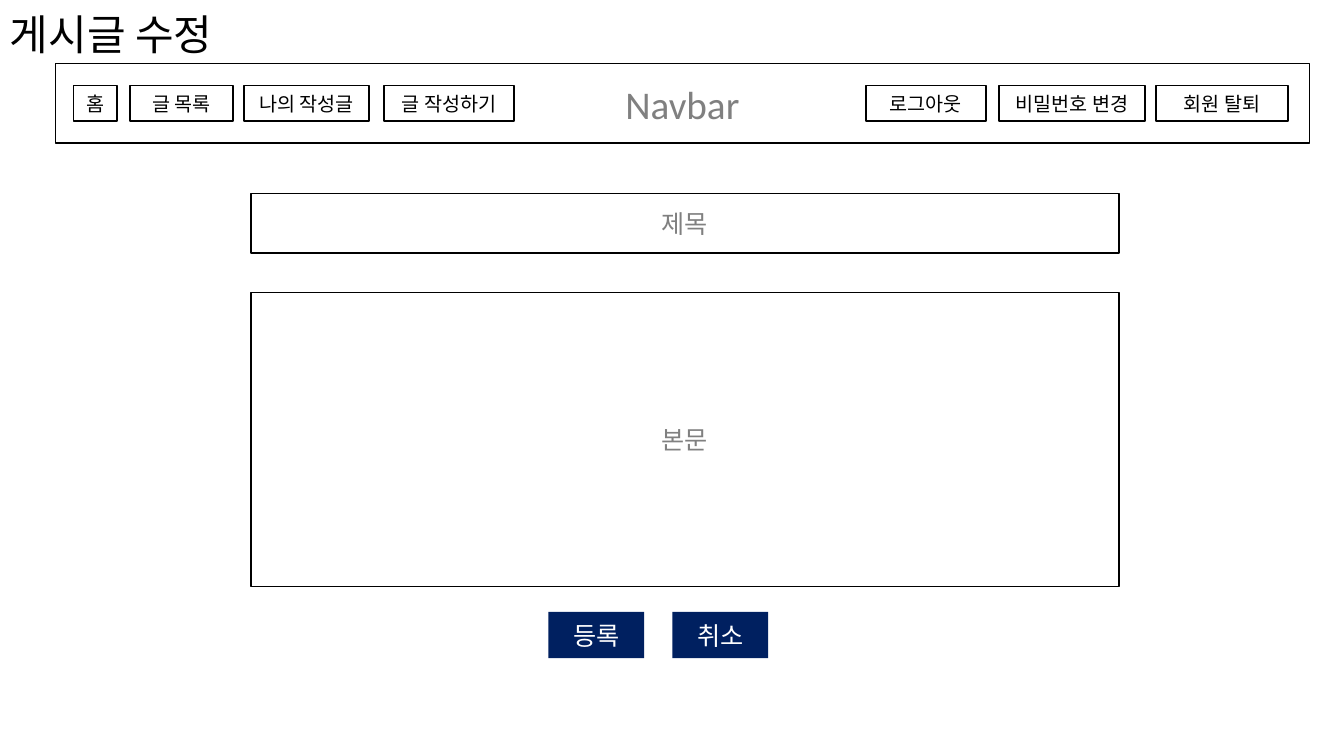
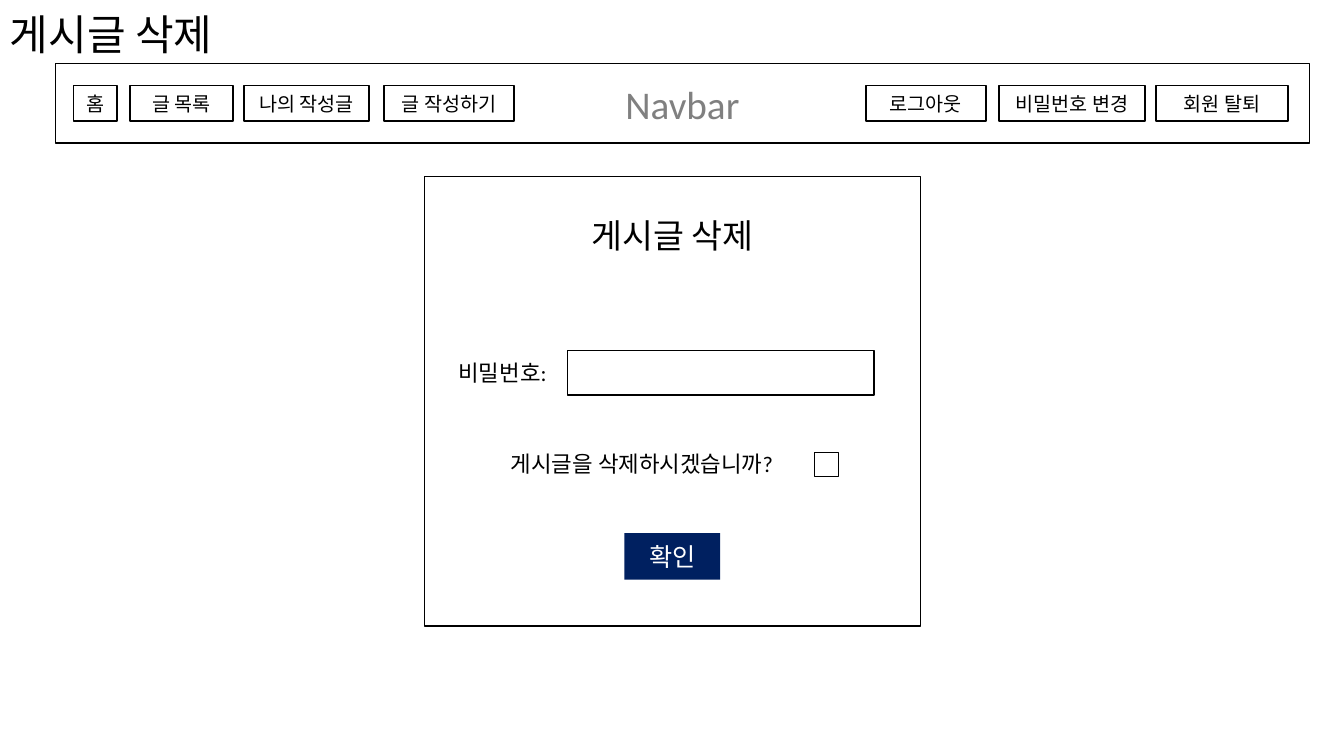
from dataclasses import dataclass

from pptx import Presentation
from pptx.dml.color import RGBColor
from pptx.enum.shapes import MSO_SHAPE
from pptx.enum.text import MSO_ANCHOR, PP_ALIGN
from pptx.slide import Slide
from pptx.util import Length, Pt

RECTANGLE = MSO_SHAPE.RECTANGLE
TOP, MIDDLE = MSO_ANCHOR.TOP, MSO_ANCHOR.MIDDLE
LEFT, CENTER = PP_ALIGN.LEFT, PP_ALIGN.CENTER

COLUMNS, ROWS = 40, 22.5
CELL = 304800
BLANK_LAYOUT = 6
FONT_NAME = "Calibri"
COLORS = {
    "paper": "FFFFFF",
    "ink": "000000",
    "hint": "808080",
    "navy": "002060",
}


@dataclass(frozen=True)
class Area:
    column: float
    row: float
    width: float
    height: float


@dataclass(frozen=True)
class Style:
    size: float
    color: str = "ink"
    fill: str | None = None
    line: str | None = None
    align: PP_ALIGN = LEFT
    anchor: MSO_ANCHOR = TOP
    spacing: float = 1.0


@dataclass(frozen=True)
class Element:
    text: str
    area: Area
    style: Style


def boxed(size: float, color: str = "ink") -> Style:
    return Style(size, color, "paper", "ink", CENTER, MIDDLE)


TITLE = Style(30, anchor=MIDDLE, spacing=0.9)
NAVBAR = boxed(28, "hint")
NAVBAR_BUTTON = boxed(14)
FIELD = boxed(18, "hint")
ACTION = Style(18, "paper", "navy", None, CENTER, MIDDLE)
LABEL = Style(16)
HEADING = Style(24, align=CENTER)

TITLE_AREA = Area(0, 0, 20.37, 2.22)
NAVBAR_AREA = Area(1.65, 1.89, 37.32, 2.37)
NAVBAR_BUTTON_ROW, NAVBAR_BUTTON_HEIGHT = 2.55, 1.05
NAVBAR_BUTTONS = (
    ("홈", 2.19, 1.29),
    ("글 목록", 3.87, 3.06),
    ("나의 작성글", 7.26, 3.72),
    ("글 작성하기", 11.43, 3.87),
    ("로그아웃", 25.77, 3.57),
    ("비밀번호 변경", 29.73, 4.35),
    ("회원 탈퇴", 34.41, 3.93),
)
FORM_COLUMN, FORM_WIDTH = 7.47, 25.83
PANEL = Area(12.63, 5.25, 14.76, 13.38)
LABEL_WIDTH, LABEL_HEIGHT = 13.02, 1.11
ACTION_WIDTH, ACTION_HEIGHT = 2.85, 1.38


def action(text: str, column: float, row: float) -> Element:
    return Element(text, Area(column, row, ACTION_WIDTH, ACTION_HEIGHT), ACTION)


def label(text: str, column: float, row: float) -> Element:
    return Element(text, Area(column, row, LABEL_WIDTH, LABEL_HEIGHT), LABEL)


NAVIGATION = (
    Element("Navbar", NAVBAR_AREA, NAVBAR),
    *(
        Element(text, Area(column, NAVBAR_BUTTON_ROW, width, NAVBAR_BUTTON_HEIGHT), NAVBAR_BUTTON)
        for text, column, width in NAVBAR_BUTTONS
    ),
)
PAGES = {
    "게시글 수정": (
        Element("제목", Area(FORM_COLUMN, 5.76, FORM_WIDTH, 1.77), FIELD),
        Element("본문", Area(FORM_COLUMN, 8.7, FORM_WIDTH, 8.76), FIELD),
        action("등록", 16.32, 18.21),
        action("취소", 20.01, 18.21),
    ),
    "게시글 삭제": (
        Element("", PANEL, FIELD),
        label("비밀번호:", 13.35, 10.53),
        label("게시글을 삭제하시겠습니까?", 14.91, 13.26),
        Element("", Area(16.89, 10.44, 9.12, 1.32), FIELD),
        Element("", Area(24.24, 13.47, 0.72, 0.72), FIELD),
        Element("게시글 삭제", Area(PANEL.column, 6.24, PANEL.width, 1.5), HEADING),
        action("확인", PANEL.column + (PANEL.width - ACTION_WIDTH) / 2, 15.87),
    ),
}


def cells(count: float) -> Length:
    return Length(round(count * CELL))


def color_of(name: str) -> RGBColor:
    return RGBColor.from_string(COLORS[name])


def set_attributes(target: object, values: dict[str, object]) -> None:
    for name, value in values.items():
        setattr(target, name, value)


def draw(slide: Slide, element: Element) -> None:
    area, style = element.area, element.style
    bounds = [cells(value) for value in (area.column, area.row, area.width, area.height)]
    if style.fill is None:
        shape = slide.shapes.add_textbox(*bounds)
    else:
        shape = slide.shapes.add_shape(RECTANGLE, *bounds)
        shape.shadow.inherit = False
        shape.fill.solid()
        shape.fill.fore_color.rgb = color_of(style.fill)
        if style.line is None:
            shape.line.fill.background()
        else:
            shape.line.color.rgb = color_of(style.line)
            shape.line.width = Pt(1)
    if not element.text:
        return
    frame = shape.text_frame
    set_attributes(frame, {"word_wrap": True, "vertical_anchor": style.anchor})
    paragraph = frame.paragraphs[0]
    set_attributes(paragraph, {"alignment": style.align, "line_spacing": style.spacing})
    run = paragraph.add_run()
    run.text = element.text
    set_attributes(run.font, {"name": FONT_NAME, "size": Pt(style.size)})
    run.font.color.rgb = color_of(style.color)


def main() -> None:
    presentation = Presentation()
    set_attributes(presentation, {"slide_width": cells(COLUMNS), "slide_height": cells(ROWS)})
    for title, content in PAGES.items():
        slide = presentation.slides.add_slide(presentation.slide_layouts[BLANK_LAYOUT])
        for element in (Element(title, TITLE_AREA, TITLE), *NAVIGATION, *content):
            draw(slide, element)
    presentation.save("out.pptx")


if __name__ == "__main__":
    main()
